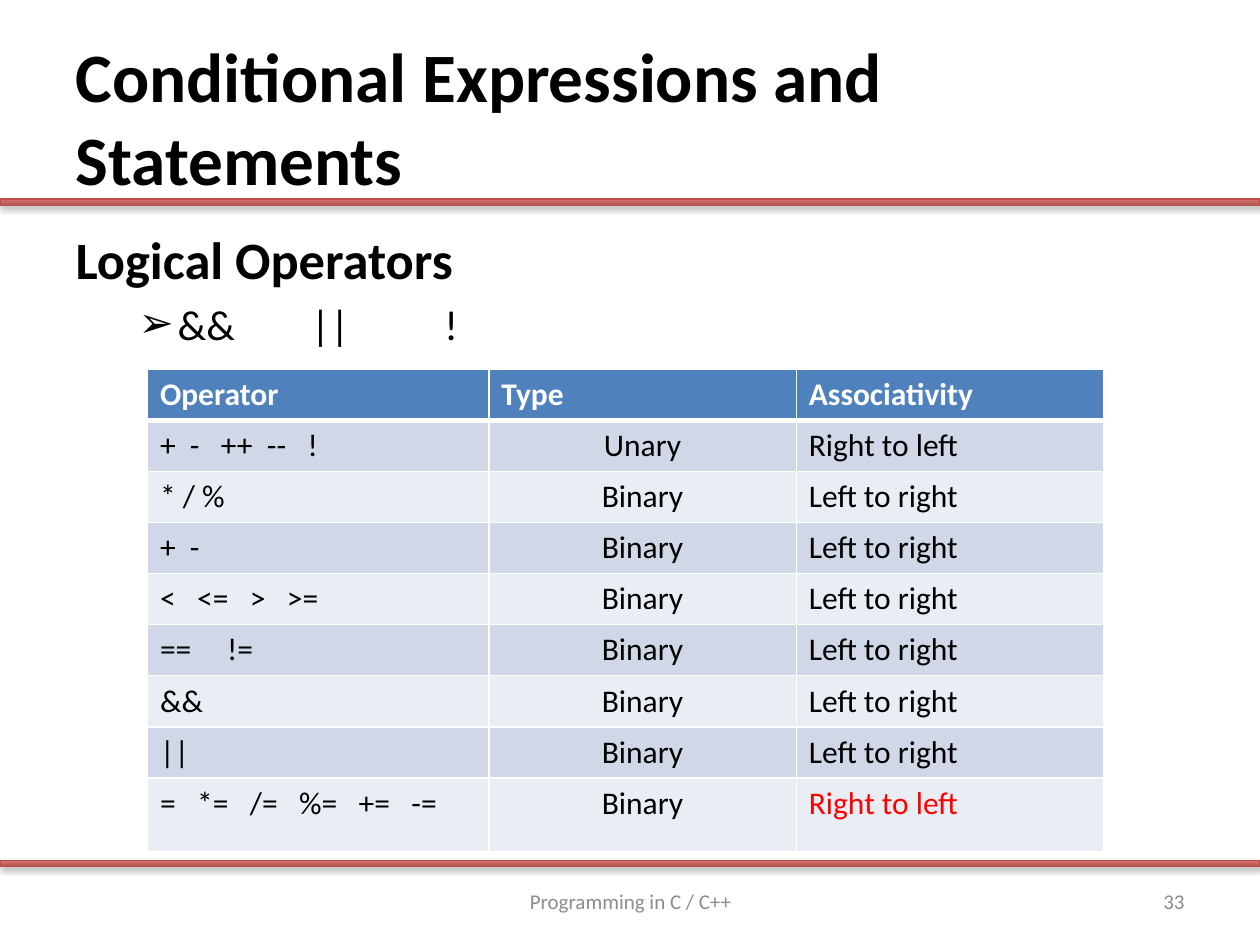
from dataclasses import dataclass

from lxml import etree
from pptx import Presentation
from pptx.dml.color import RGBColor
from pptx.enum.shapes import MSO_SHAPE
from pptx.enum.text import MSO_ANCHOR, MSO_AUTO_SIZE, PP_ALIGN
from pptx.oxml import parse_xml
from pptx.oxml.ns import qn
from pptx.util import Inches, Pt

RECT = MSO_SHAPE.RECTANGLE
MIDDLE, TOP = MSO_ANCHOR.MIDDLE, MSO_ANCHOR.TOP
NO_FIT = MSO_AUTO_SIZE.NONE
LEFT, CENTER, RIGHT = PP_ALIGN.LEFT, PP_ALIGN.CENTER, PP_ALIGN.RIGHT
NS = 'xmlns:a="http://schemas.openxmlformats.org/drawingml/2006/main"'
SPACE_EM = 0.226


@dataclass(frozen=True)
class Theme:
    """Colours, font and type sizes of the slide."""
    font: str = "Calibri"
    black: str = "000000"
    white: str = "FFFFFF"
    red: str = "FF0000"
    grey: str = "8C8C8C"
    header: str = "4F81BD"
    bands: tuple = ("D0D8E8", "E9EDF4")
    bar_line: str = "BF4C48"
    bar_stops: tuple = ((0, "9C2F2D"), (80, "CB3E3A"), (100, "CE3B37"))
    title: float = 39.6
    heading: float = 30
    bullet: float = 24
    cell: float = 18
    footer: float = 12


T = Theme()
HEADERS = ("Operator", "Type", "Associativity")
OPERATORS = [
    ("+ - ++ -- !", (2, 3, 2, 3), "Unary", "Right to left", T.black),
    ("* / %", (1, 1), "Binary", "Left to right", T.black),
    ("+ -", (2,), "Binary", "Left to right", T.black),
    ("< <= > >=", (3,) * 3, "Binary", "Left to right", T.black),
    ("== !=", (5,), "Binary", "Left to right", T.black),
    ("&&", (), "Binary", "Left to right", T.black),
    ("||", (), "Binary", "Left to right", T.black),
    ("= *= /= %= += -=", (3,) * 5, "Binary", "Right to left", T.red),
]


def add_run(p, text, size, color, bold=False):
    """Add one formatted run to a paragraph."""
    r = p.add_run()
    r.text = text
    r.font.name, r.font.size, r.font.bold = T.font, Pt(size), bold
    r.font.color.rgb = RGBColor.from_string(color)
    return r


def add_spaced(p, text, gaps, size):
    """Add words parted by gaps given in widths of a space."""
    words = text.split()
    add_run(p, words[0], size, T.black)
    for gap, word in zip(gaps, words[1:]):
        r = add_run(p, " ", size, T.black)
        spacing = round((gap - 1) * SPACE_EM * size * 100)
        r._r.get_or_add_rPr().set("spc", str(spacing))
        add_run(p, word, size, T.black)


def place(sp, x, y, w, h, anchor):
    """Position a text shape and return its text frame."""
    sp.left, sp.top, sp.width, sp.height = map(Inches, (x, y, w, h))
    tf = sp.text_frame
    tf.word_wrap, tf.auto_size, tf.vertical_anchor = True, NO_FIT, anchor
    return tf


def set_bullet(p, margin, indent, char=None):
    """Set the hanging indent and the bullet of a paragraph."""
    pPr = p._p.get_or_add_pPr()
    pPr.set("marL", str(Inches(margin)))
    pPr.set("indent", str(Inches(indent)))
    if char:
        etree.SubElement(pPr, qn("a:buFont")).set("typeface", "Arial")
        etree.SubElement(pPr, qn("a:buChar")).set("char", char)
    else:
        etree.SubElement(pPr, qn("a:buNone"))


def add_bar(s, y):
    """Add a full-width red bar with gradient and shadow."""
    sp = s.shapes.add_shape(RECT, 0, Inches(y), Inches(10), Inches(0.05))
    sp.line.color.rgb = RGBColor.from_string(T.bar_line)
    sp.line.width = Pt(0.75)
    stops = "".join(
        f'<a:gs pos="{pos * 1000}"><a:srgbClr val="{color}">'
        '<a:alpha val="73000"/></a:srgbClr></a:gs>' for pos, color in T.bar_stops)
    spPr = sp._element.spPr
    spPr.find(qn("a:ln")).addprevious(parse_xml(
        f'<a:gradFill {NS} rotWithShape="1"><a:gsLst>{stops}</a:gsLst>'
        '<a:lin ang="16200000" scaled="0"/></a:gradFill>'))
    spPr.append(parse_xml(
        f'<a:effectLst {NS}><a:outerShdw blurRad="{Pt(3.1)}" dist="{Pt(1.8)}" '
        'dir="5400000" rotWithShape="0"><a:srgbClr val="000000">'
        '<a:alpha val="35000"/></a:srgbClr></a:outerShdw></a:effectLst>'))


def add_title(s):
    """Fill the title placeholder."""
    tf = place(s.shapes.title, 0.5, 0.3, 9, 1.25, MIDDLE)
    p = tf.paragraphs[0]
    p.alignment = LEFT
    add_run(p, "Conditional Expressions and Statements", T.title, T.black, True)


def add_body(s):
    """Fill the body placeholder with the heading and the operators."""
    tf = place(s.placeholders[1], 0.5, 1.75, 9, 4.95, TOP)
    p = tf.paragraphs[0]
    set_bullet(p, 0.38, -0.38)
    add_run(p, "Logical Operators", T.heading, T.black, True)
    p = tf.add_paragraph()
    p.level = 1
    set_bullet(p, 0.81, -0.31, "➢")
    add_spaced(p, "&& || !", (8, 10), T.bullet)


def style_cell(cell, fill, bottom=1):
    """Fill a cell and give it white borders."""
    cell.fill.solid()
    cell.fill.fore_color.rgb = RGBColor.from_string(fill)
    tcPr = cell._tc.get_or_add_tcPr()
    widths = (("lnL", 1), ("lnR", 1), ("lnT", 1), ("lnB", bottom))
    for i, (side, width) in enumerate(widths):
        tcPr.insert(i, parse_xml(
            f'<a:{side} {NS} w="{Pt(width)}"><a:solidFill>'
            f'<a:srgbClr val="{T.white}"/></a:solidFill></a:{side}>'))


def add_operator_table(s):
    """Add the table of operators, types and associativity."""
    rows = len(OPERATORS) + 1
    frame = s.shapes.add_table(rows, 3, Inches(1.17), Inches(2.93),
                               Inches(7.59), Inches(3.79))
    table = frame.table
    for column, width in zip(table.columns, (2.71, 2.44, 2.44)):
        column.width = Inches(width)
    for i, row in enumerate(table.rows):
        row.height = Inches(0.59 if i == rows - 1 else 0.4)
    for cell, text in zip(table.rows[0].cells, HEADERS):
        style_cell(cell, T.header, 3)
        add_run(cell.text_frame.paragraphs[0], text, T.cell, T.white, True)
    for i, (symbols, gaps, kind, order, color) in enumerate(OPERATORS):
        cells = list(table.rows[i + 1].cells)
        for cell in cells:
            style_cell(cell, T.bands[i % 2])
        first, second, third = [c.text_frame.paragraphs[0] for c in cells]
        add_spaced(first, symbols, gaps, T.cell)
        second.alignment = CENTER
        add_run(second, kind, T.cell, T.black)
        add_run(third, order, T.cell, color)


def add_footer(s, text, x, w, align):
    """Add a grey footer text."""
    tf = place(s.shapes.add_textbox(0, 0, 0, 0), x, 6.95, w, 0.4, MIDDLE)
    p = tf.paragraphs[0]
    p.alignment = align
    add_run(p, text, T.footer, T.grey)


def main():
    """Build and save the slide."""
    prs = Presentation()
    prs.slide_width, prs.slide_height = Inches(10), Inches(7.5)
    s = prs.slides.add_slide(prs.slide_layouts[1])
    for y in (6.83, 1.58):
        add_bar(s, y)
    add_title(s)
    add_body(s)
    add_operator_table(s)
    add_footer(s, "Programming in C / C++", 3.42, 3.17, CENTER)
    add_footer(s, "33", 7.17, 2.33, RIGHT)
    prs.save("out.pptx")


main()
